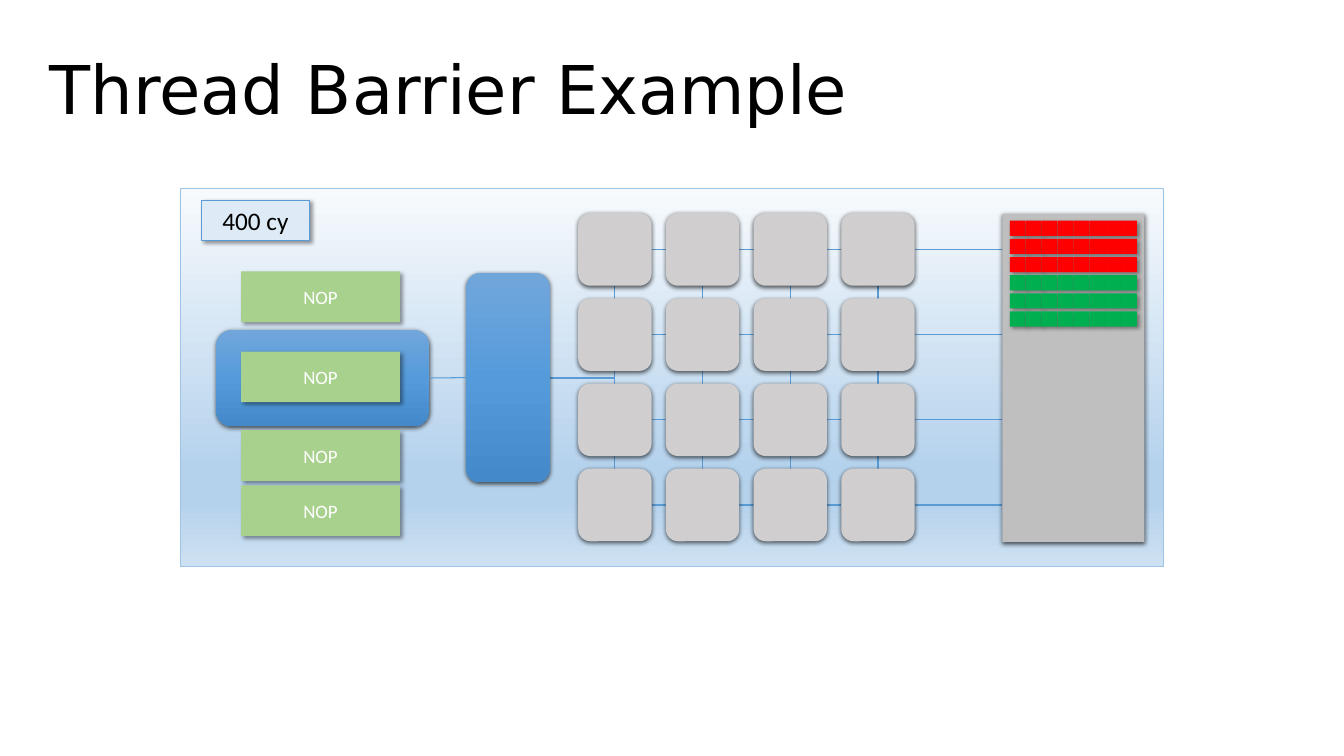
from pptx import Presentation
from pptx.dml.color import RGBColor as RGB
from pptx.enum.shapes import MSO_CONNECTOR as Conn, MSO_SHAPE as Kind
from pptx.enum.text import MSO_ANCHOR as Anchor, PP_ALIGN as Align
from pptx.oxml.ns import qn
from pptx.util import Inches, Pt
from lxml.etree import SubElement as Sub

# Content
TITLE = "Thread Barrier Example"
CLOCK = "400 cy"
OPS = [("NOP", 3.59), ("NOP", 4.65), ("NOP", 5.69), ("NOP", 6.42)]  # label, top
BANKS = ["red"] * 3 + ["green"] * 3  # one colour per row of memory cells

HUES = {
    "black": "000000", "white": "FFFFFF", "tile": "D0CECE", "memory": "BFBFBF",
    "op": "A9D18E", "clock": "DEEBF7", "wire": "5B9BD5", "frame": "9DC3E6",
    "red": "FF0000", "green": "00B050",
}
SKY = [(0, "F7FAFD"), (74, "B5D2EC"), (83, "B5D2EC"), (100, "CEE1F2")]
BLUE = [(0, "71A6DB"), (50, "559BDB"), (100, "448ACA")]

# Shadows: opacity %, blur pt, distance pt, angle
SOFT = (63, 4.5, 1.5, 90)
CAST = (40, 4, 3, 45)

# Grid sizes in inches
SIDE = 4
TILE_X, TILE_Y, TILE_W, TILE_H = 7.65, 2.82, 0.97, 0.96
STEP_X, STEP_Y = 1.16, (6.2 - 2.82) / 3
CELLS, CELL_X, CELL_Y, CELL_W, CELL_H, ROW = 8, 13.36, 2.92, 0.21, 0.2, 0.24
MID, MEM_X = 5, 13.26

prs = Presentation()
prs.slide_width, prs.slide_height = Inches(17.78), Inches(10)
slide = prs.slides.add_slide(prs.slide_layouts[5])


def style(para, size, font, hue):
    for run in para.runs:
        run.font.size, run.font.name = Pt(size), font
        run.font.color.rgb = RGB.from_string(HUES[hue])


def blend(shape, stops):
    shape.fill.gradient()
    shape.fill.gradient_angle = 270
    chain = shape.fill._xPr.find(qn("a:gradFill")).find(qn("a:gsLst"))
    for old in list(chain):
        chain.remove(old)
    for pos, hue in stops:
        stop = Sub(chain, qn("a:gs"), pos=str(pos * 1000))
        Sub(stop, qn("a:srgbClr"), val=hue)


def shade(shape, alpha, blur, dist, angle):
    glow = shape._element.spPr.find(qn("a:effectLst"))
    outer = Sub(glow, qn("a:outerShdw"), blurRad=str(Pt(blur)), dist=str(Pt(dist)),
                dir=str(angle * 60000), algn="ctr", rotWithShape="0")
    tint = Sub(outer, qn("a:srgbClr"), val=HUES["black"])
    Sub(tint, qn("a:alpha"), val=str(alpha * 1000))


def block(kind, x, y, w, h, fill, cast=None, edge=None):
    shape = slide.shapes.add_shape(kind, Inches(x), Inches(y), Inches(w), Inches(h))
    shape.shadow.inherit = False
    if isinstance(fill, list):
        blend(shape, fill)
    else:
        shape.fill.solid()
        shape.fill.fore_color.rgb = RGB.from_string(HUES[fill])
    if edge:
        shape.line.color.rgb = RGB.from_string(HUES[edge])
        shape.line.width = Pt(1)
    else:
        shape.line.fill.background()
    if cast:
        shade(shape, *cast)
    return shape


def label(shape, text, size, hue):
    frame = shape.text_frame
    frame.text = text
    frame.vertical_anchor = Anchor.MIDDLE
    para = frame.paragraphs[0]
    para.alignment = Align.CENTER
    style(para, size, "Calibri", hue)


def wire(x1, y1, x2, y2):
    line = slide.shapes.add_connector(
        Conn.STRAIGHT, Inches(x1), Inches(y1), Inches(x2), Inches(y2))
    line.line.color.rgb = RGB.from_string(HUES["wire"])
    line.line.width = Pt(1)
    Sub(line._element.spPr, qn("a:effectLst"))
    return line


# Title
head = slide.shapes.title
head.left, head.top, head.width, head.height = map(Inches, (0.56, 0.4, 16.83, 1.52))
head.text_frame.text = TITLE
head.text_frame.vertical_anchor = Anchor.MIDDLE
head.text_frame.paragraphs[0].alignment = Align.LEFT
style(head.text_frame.paragraphs[0], 64, "DejaVu Sans", "black")

# Background panel
block(Kind.RECTANGLE, 2.39, 2.5, 13, 5, SKY, edge="frame")

# Mesh wires, behind the tiles
xs = [TILE_X + STEP_X * i for i in range(SIDE)]
ys = [TILE_Y + STEP_Y * i for i in range(SIDE)]
hubs = [x + TILE_W / 2 for x in xs]
rails = [y + TILE_H / 2 for y in ys]
downs = [wire(x, ys[0] + TILE_H, x, ys[-1]) for x in hubs]
rows = [wire(xs[0] + TILE_W, y, xs[-1], y) for y in rails]
outs = [wire(xs[-1] + TILE_W, y, MEM_X, y) for y in rails]
wire(hubs[0], MID, 7.27, MID)

# Tiles, then join the wires to them
tiles = [[block(Kind.ROUNDED_RECTANGLE, x, y, TILE_W, TILE_H, "tile", SOFT)
          for x in xs] for y in ys]
for i in range(SIDE):
    downs[i].begin_connect(tiles[0][i], 2)
    downs[i].end_connect(tiles[-1][i], 0)
    rows[i].begin_connect(tiles[i][0], 3)
    rows[i].end_connect(tiles[i][-1], 1)
    outs[i].begin_connect(tiles[i][-1], 3)

# Issue stage and dispatch unit
stage = block(Kind.ROUNDED_RECTANGLE, 2.86, 4.36, 2.82, 1.28, BLUE, SOFT)
unit = block(Kind.ROUNDED_RECTANGLE, 6.17, 3.61, 1.1, 2.77, BLUE, SOFT)
link = wire(6.17, MID, 5.68, MID)
link.begin_connect(unit, 1)
link.end_connect(stage, 3)

# Instructions and clock
for text, y in OPS:
    label(block(Kind.RECTANGLE, 3.19, y, 2.1, 0.67, "op", CAST), text, 18, "white")
clock = block(Kind.RECTANGLE, 2.67, 2.65, 1.42, 0.53, "clock", CAST, "wire")
label(clock, CLOCK, 24, "black")

# Memory and its cells
block(Kind.RECTANGLE, MEM_X, 2.83, 1.88, 4.34, "memory", SOFT)
for r, hue in enumerate(BANKS):
    for c in range(CELLS):
        block(Kind.RECTANGLE, CELL_X + CELL_W * c, CELL_Y + ROW * r,
              CELL_W, CELL_H, hue, CAST)

prs.save("out.pptx")
